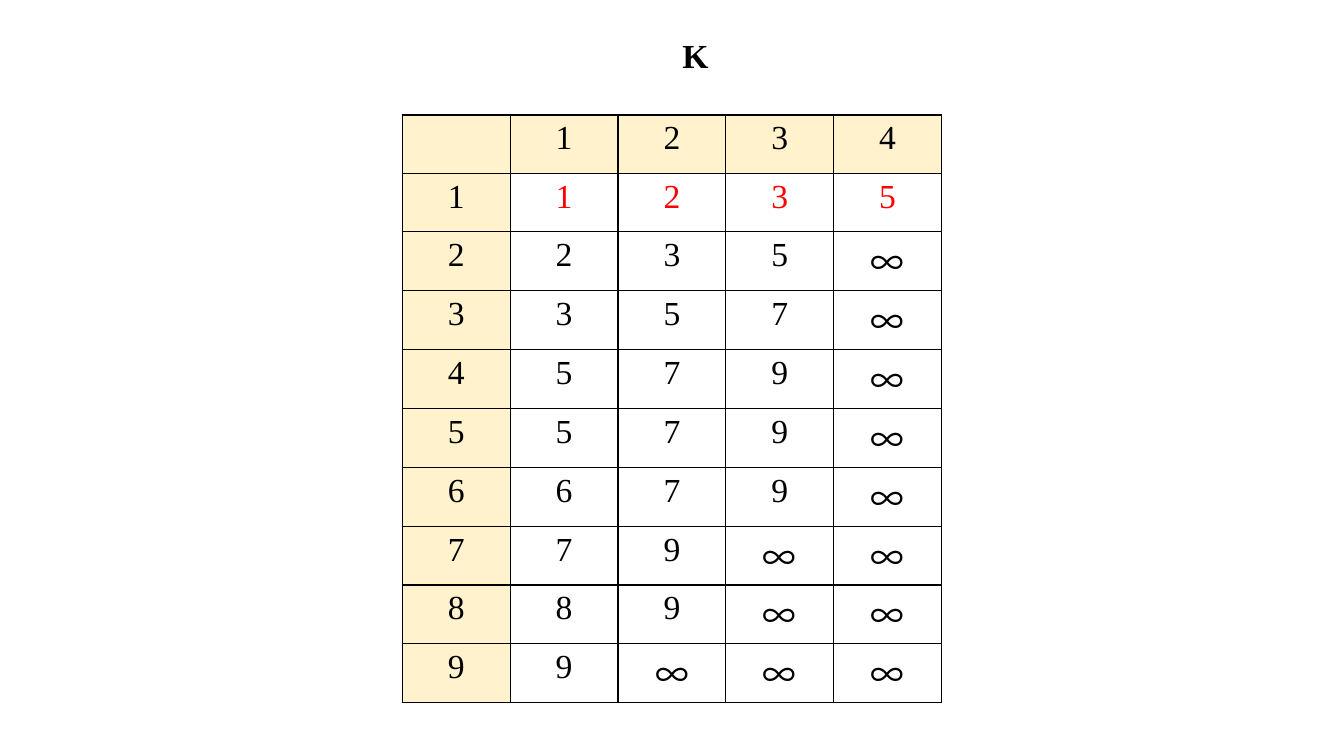
"""Build a slide with the K table of values by row and column."""
import pptx
import pptx.dml.color
import pptx.enum.text
import pptx.oxml
import pptx.oxml.ns
import pptx.util

TITLE = "K"
ROWS = [
    ["", "1", "2", "3", "4"],
    ["1", "1", "2", "3", "5"],
    ["2", "2", "3", "5", "∞"],
    ["3", "3", "5", "7", "∞"],
    ["4", "5", "7", "9", "∞"],
    ["5", "5", "7", "9", "∞"],
    ["6", "6", "7", "9", "∞"],
    ["7", "7", "9", "∞", "∞"],
    ["8", "8", "9", "∞", "∞"],
    ["9", "9", "∞", "∞", "∞"],
]
HIGHLIGHTED_ROW = 1
BLACK = pptx.dml.color.RGBColor(0x00, 0x00, 0x00)
RED = pptx.dml.color.RGBColor(0xFF, 0x00, 0x00)
CREAM = pptx.dml.color.RGBColor(0xFF, 0xF2, 0xCC)
TEXT_FONT = "Times New Roman"
SYMBOL_FONT = "Noto Sans CJK SC"
COLUMN_WIDTH, ROW_HEIGHT = 1.07, 0.58
TABLE_LEFT, TABLE_TOP = 3.99, 1.14
Inches = pptx.util.Inches


def write_text(text_frame, text, font=TEXT_FONT, size=24, color=BLACK, bold=False,
               alignment=pptx.enum.text.PP_ALIGN.LEFT):
    paragraph = text_frame.paragraphs[0]
    paragraph.alignment = alignment
    run = paragraph.add_run()
    run.text = text
    run.font.size = pptx.util.Pt(size)
    run.font.bold = bold
    run.font.color.rgb = color
    run.font.name = font
    east_asian = pptx.oxml.parse_xml(
        f'<a:ea {pptx.oxml.ns.nsdecls("a")} typeface="{font}"/>')
    run.font._element.append(east_asian)


def add_borders(cell):
    properties = cell._tc.get_or_add_tcPr()
    for index, side in enumerate(("lnL", "lnR", "lnT", "lnB")):
        properties.insert(index, pptx.oxml.parse_xml(
            f'<a:{side} {pptx.oxml.ns.nsdecls("a")} w="12700"><a:solidFill>'
            f'<a:srgbClr val="{BLACK}"/></a:solidFill></a:{side}>'))


def add_value_table(slide):
    row_count, column_count = len(ROWS), len(ROWS[0])
    table = slide.shapes.add_table(
        row_count, column_count, Inches(TABLE_LEFT), Inches(TABLE_TOP),
        Inches(column_count * COLUMN_WIDTH), Inches(row_count * ROW_HEIGHT)).table
    table.first_row = table.horz_banding = False
    for column in table.columns:
        column.width = Inches(COLUMN_WIDTH)
    for row_index, values in enumerate(ROWS):
        table.rows[row_index].height = Inches(ROW_HEIGHT)
        for column_index, value in enumerate(values):
            cell = table.cell(row_index, column_index)
            if row_index == 0 or column_index == 0:
                cell.fill.solid()
                cell.fill.fore_color.rgb = CREAM
            else:
                cell.fill.background()
            add_borders(cell)
            if value:
                highlighted = row_index == HIGHLIGHTED_ROW and column_index > 0
                write_text(cell.text_frame, value,
                           font=SYMBOL_FONT if value == "∞" else TEXT_FONT,
                           color=RED if highlighted else BLACK,
                           alignment=pptx.enum.text.PP_ALIGN.CENTER)


def main():
    presentation = pptx.Presentation()
    presentation.slide_width = Inches(13.33)
    presentation.slide_height = Inches(7.5)
    slide = presentation.slides.add_slide(presentation.slide_layouts[6])
    add_value_table(slide)
    title = slide.shapes.add_textbox(Inches(6.67), Inches(0.3), Inches(0.46), Inches(0.5))
    title.text_frame.word_wrap = False
    title.text_frame.auto_size = pptx.enum.text.MSO_AUTO_SIZE.SHAPE_TO_FIT_TEXT
    write_text(title.text_frame, TITLE, bold=True)
    presentation.save("out.pptx")


if __name__ == "__main__":
    main()
